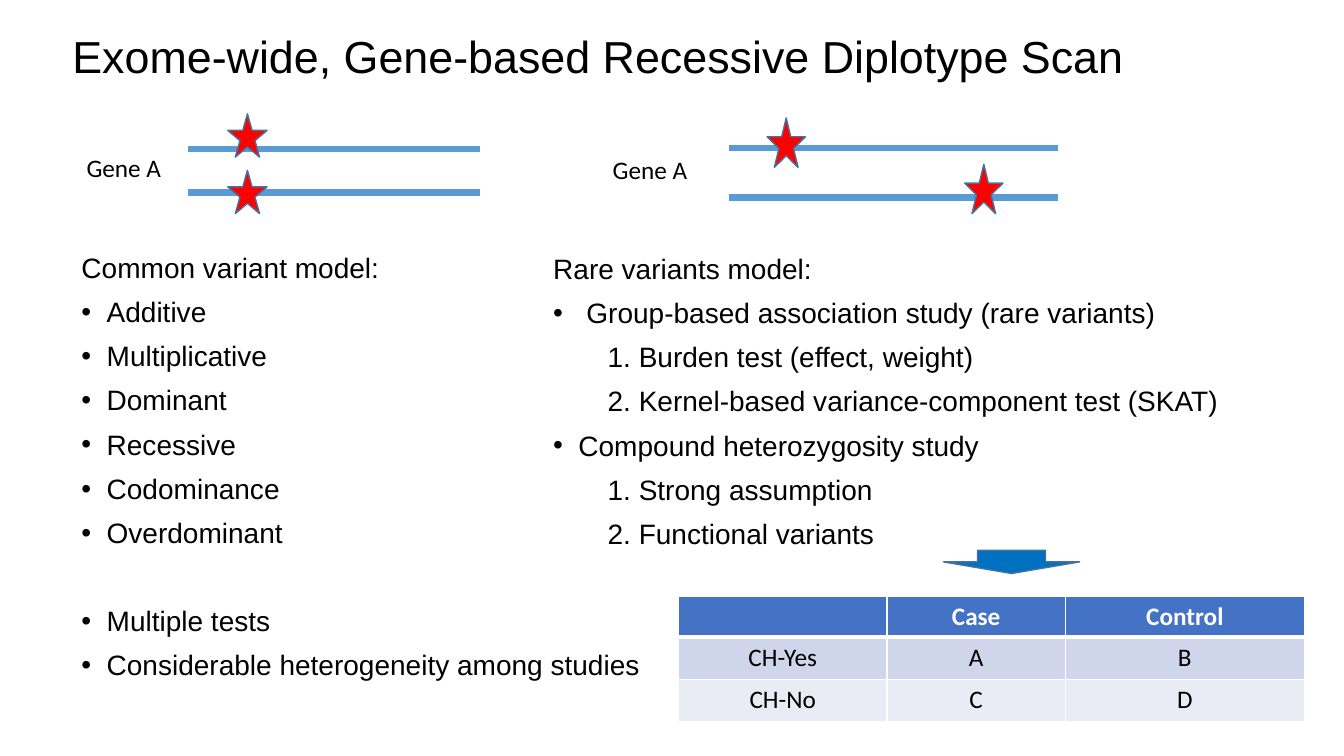
from dataclasses import dataclass

from lxml.etree import SubElement
from pptx import Presentation
from pptx.dml.color import RGBColor
from pptx.enum.shapes import MSO_CONNECTOR, MSO_SHAPE
from pptx.enum.text import MSO_AUTO_SIZE, PP_ALIGN
from pptx.oxml.ns import qn
from pptx.util import Inches, Pt


@dataclass(frozen=True)
class Theme:
    heading_font: str = "Arial"
    label_font: str = "Calibri"
    title_size: int = 32
    body_size: int = 20
    label_size: int = 18
    ink: str = "000000"
    paper: str = "FFFFFF"
    strand: str = "5B9BD5"
    variant: str = "FF0000"
    outline: str = "43739E"
    arrow: str = "0070C0"
    header: str = "4472C4"
    bands: tuple = ("CFD5EA", "E9EBF5")


@dataclass(frozen=True)
class Box:
    """Column, row, width and height in grid cells."""
    x: float
    y: float
    w: float
    h: float

    def emu(self):
        return [cells(n) for n in (self.x, self.y, self.w, self.h)]


THEME = Theme()
COLUMNS, ROWS = 133.33, 75
HEADING, BULLET, SUBITEM = "heading", "bullet", "subitem"
STEP = 10  # points between list lines
LINE = 21  # points of one list line


def cells(count):
    """Length of a number of grid cells, each a tenth of an inch."""
    return Inches(count / 10)


def rgb(code):
    return RGBColor.from_string(code)


def style(paragraph, font, size, color=THEME.ink, bold=False):
    for run in paragraph.runs:
        run.font.name = font
        run.font.size = Pt(size)
        run.font.color.rgb = rgb(color)
        run.font.bold = bold


def one_line(slide, box, words, font, size):
    frame = slide.shapes.add_textbox(*box.emu()).text_frame
    frame.word_wrap = False
    frame.auto_size = MSO_AUTO_SIZE.SHAPE_TO_FIT_TEXT
    frame.text = words
    style(frame.paragraphs[0], font, size)


def outlined(shapes, preset, box, fill):
    shape = shapes.add_shape(preset, *box.emu())
    shape.shadow.inherit = False
    shape.fill.solid()
    shape.fill.fore_color.rgb = rgb(fill)
    shape.line.color.rgb = rgb(THEME.outline)
    shape.line.width = Pt(1)


def gene_diagram(slide, box, strand_x, strand_rows, star, star_columns):
    """Two strands, with one variant at the top and one at the bottom of the box."""
    label = Box(box.x, box.y + (box.h - 4) / 2 + 0.4, 9.5, 4)
    one_line(slide, label, "Gene A", THEME.label_font, THEME.label_size)
    diagram = slide.shapes.add_group_shape().shapes
    for row in strand_rows:
        y = cells(box.y + row)
        strand = diagram.add_connector(MSO_CONNECTOR.STRAIGHT, cells(box.x + strand_x), y,
                                       cells(box.x + box.w), y)
        strand.line.color.rgb = rgb(THEME.strand)
        strand.line.width = Pt(4.5)
        SubElement(strand.element.spPr, qn("a:effectLst"))
    star_w, star_h = star
    for column, row in zip(star_columns, (0, box.h - star_h)):
        outlined(diagram, MSO_SHAPE.STAR_5_POINT,
                 Box(box.x + column, box.y + row, star_w, star_h), THEME.variant)


def set_indent(paragraph, kind, indent):
    properties = paragraph._p.get_or_add_pPr()
    if kind == SUBITEM:
        properties.set("marL", str(cells(indent)))
    elif kind == BULLET:
        properties.set("marL", str(cells(indent)))
        properties.set("indent", str(-cells(indent)))
        SubElement(properties, qn("a:buFont"), typeface="Arial")
        SubElement(properties, qn("a:buChar"), char="•")


def model_list(slide, box, entries):
    """Entries are kind, words, indent in cells and space before in points."""
    frame = slide.shapes.add_textbox(*box.emu()).text_frame
    frame.word_wrap = True
    for index, (kind, words, indent, space) in enumerate(entries):
        paragraph = frame.add_paragraph() if index else frame.paragraphs[0]
        paragraph.text = words
        set_indent(paragraph, kind, indent)
        paragraph.line_spacing = 0.9
        paragraph.space_before = Pt(space)
        style(paragraph, THEME.heading_font, THEME.body_size)


def set_borders(cell, widths):
    properties = cell._tc.get_or_add_tcPr()
    for place, (side, width) in enumerate(widths.items()):
        line = SubElement(properties, qn(f"a:ln{side}"), w=str(Pt(width)))
        SubElement(SubElement(line, qn("a:solidFill")), qn("a:srgbClr"), val=THEME.paper)
        properties.insert(place, line)


def count_table(slide, box, rows, widths, heights):
    table = slide.shapes.add_table(len(rows), len(widths), *box.emu()).table
    for column, width in zip(table.columns, widths):
        column.width = cells(width)
    for index, (words_row, height) in enumerate(zip(rows, heights)):
        is_header = index == 0
        table.rows[index].height = cells(height)
        for cell, words in zip(table.rows[index].cells, words_row):
            cell.text = words
            paragraph = cell.text_frame.paragraphs[0]
            paragraph.alignment = PP_ALIGN.CENTER
            style(paragraph, THEME.label_font, THEME.label_size,
                  THEME.paper if is_header else THEME.ink, is_header)
            cell.fill.solid()
            cell.fill.fore_color.rgb = rgb(THEME.header if is_header else THEME.bands[index - 1])
            set_borders(cell, {"L": 1, "R": 1, "T": 3 if index == 1 else 1,
                               "B": 3 if is_header else 1})


def diplotype_slide(slide):
    one_line(slide, Box(6.2, 2.4, 108.4, 6.4), "Exome-wide, Gene-based Recessive Diplotype Scan",
             THEME.heading_font, THEME.title_size)
    gene_diagram(slide, Box(59.8, 11.7, 45.2, 9.5), 12.5, (3, 7.9), (3.8, 4.9), (16.3, 35.9))
    gene_diagram(slide, Box(7.6, 11.3, 40, 9.9), 11.1, (3.5, 7.8), (3.9, 4.3), (15, 15))

    models = ("Additive", "Multiplicative", "Dominant", "Recessive", "Codominance", "Overdominant")
    model_list(slide, Box(7.1, 24.7, 62.8, 39.3), [
        (HEADING, "Common variant model:", 0, 0),
        *((BULLET, model, 2.5, STEP) for model in models),
        (BULLET, "Multiple tests", 2.5, 2 * STEP + LINE),
        (BULLET, "Considerable heterogeneity among studies", 2.5, STEP),
    ])
    model_list(slide, Box(53.9, 24.8, 71.3, 29.8), [
        (HEADING, "Rare variants model:", 0, 0),
        (BULLET, "Group-based association study (rare variants)", 3.3, STEP),
        (SUBITEM, "1. Burden test (effect, weight)", 5.4, STEP),
        (SUBITEM, "2. Kernel-based variance-component test (SKAT)", 5.4, STEP),
        (BULLET, "Compound heterozygosity study", 2.5, STEP),
        (SUBITEM, "1. Strong assumption", 5.4, STEP),
        (SUBITEM, "2. Functional variants", 5.4, STEP),
    ])

    count_table(slide, Box(67.3, 59.2, 62.1, 12.3),
                (("", "Case", "Control"), ("CH-Yes", "A", "B"), ("CH-No", "C", "D")),
                (20.7, 17.7, 23.7), (3.9, 4.2, 4.2))
    outlined(slide.shapes, MSO_SHAPE.DOWN_ARROW, Box(93.6, 54.6, 13.5, 2.3), THEME.arrow)


def main():
    deck = Presentation()
    deck.slide_width, deck.slide_height = cells(COLUMNS), cells(ROWS)
    diplotype_slide(deck.slides.add_slide(deck.slide_layouts[6]))
    deck.save("out.pptx")


if __name__ == "__main__":
    main()
